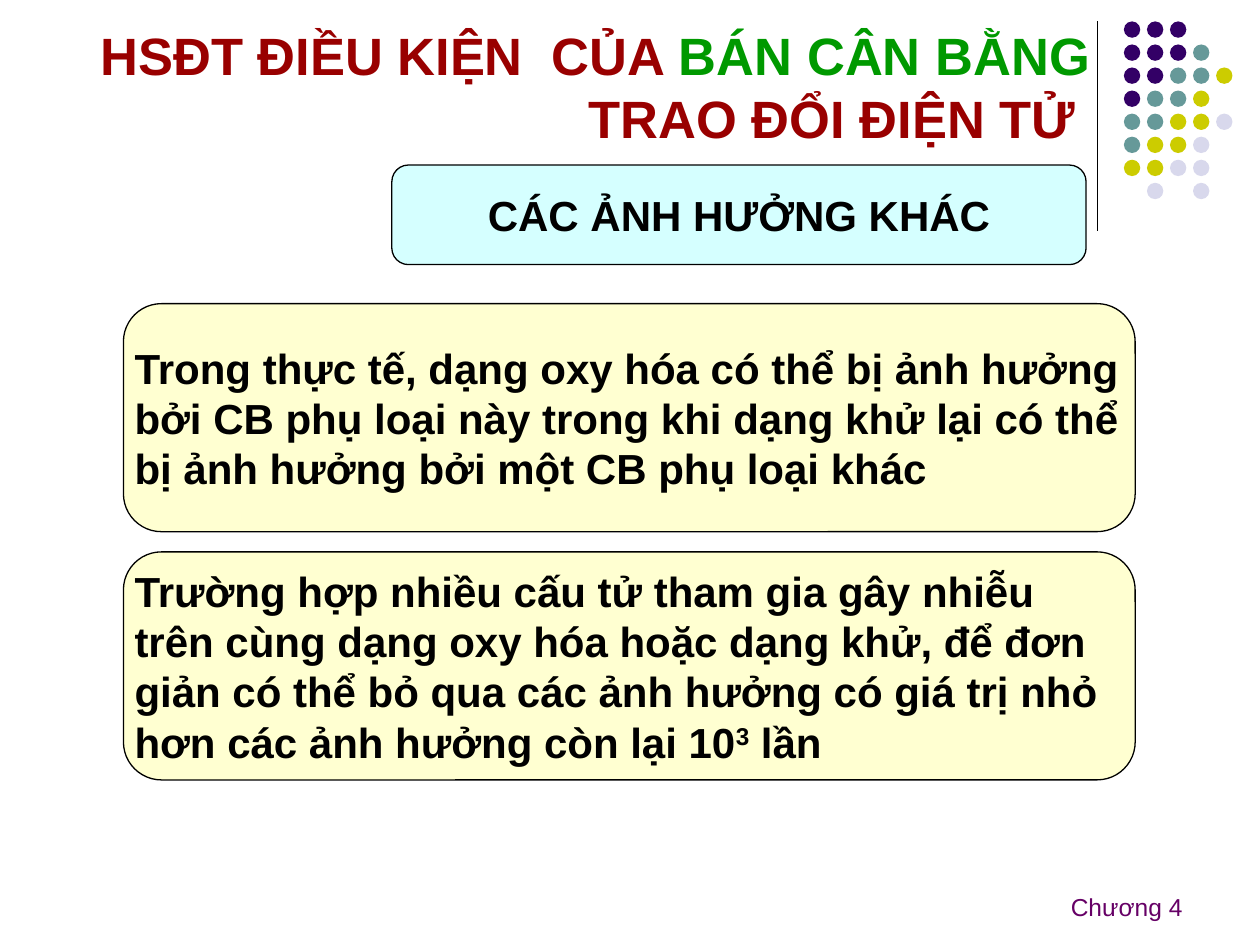
from dataclasses import dataclass

from lxml.etree import SubElement
from pptx import Presentation
from pptx.dml.color import RGBColor
from pptx.enum.shapes import MSO_CONNECTOR, MSO_SHAPE
from pptx.enum.text import MSO_ANCHOR, PP_ALIGN
from pptx.oxml.ns import qn
from pptx.util import Inches, Pt

# Vietnamese tones as combining marks: grave, acute, hook, tilde, dot below
VOWELS = "aăâeêioôơuưy"
TONED = {
    0x300: "àằầèềìòồờùừỳ",
    0x301: "áắấéếíóốớúứý",
    0x309: "ảẳẩẻểỉỏổởủửỷ",
    0x303: "ãẵẫẽễĩõỗỡũữỹ",
    0x323: "ạặậẹệịọộợụựỵ",
}
TONE_TABLE = {
    ord(toned): vowel + chr(mark)
    for mark, row in TONED.items()
    for toned, vowel in zip(row + row.upper(), VOWELS + VOWELS.upper())
}


def split_tones(words):
    return words.translate(TONE_TABLE)


@dataclass(frozen=True)
class Theme:
    font: str = "Arial"
    title_size: int = 30
    body_size: int = 24
    footer_size: int = 14
    black: str = "000000"
    red: str = "990000"
    green: str = "009900"
    footer: str = "660066"
    heading_fill: str = "D5FFFF"
    body_fill: str = "FFFFD1"
    purple: str = "330066"
    teal: str = "669999"
    yellow: str = "CCCC00"
    pale: str = "D8D8EC"


class SlideBuilder:
    def __init__(self, page, theme):
        self.page = page
        self.theme = theme

    def style(self, para, size, color, bold=True):
        font = para.font
        font.name = self.theme.font
        font.size = Pt(size)
        font.bold = bold
        font.color.rgb = RGBColor.from_string(color)

    def rule(self, x, top, bottom):
        line = self.page.shapes.add_connector(
            MSO_CONNECTOR.STRAIGHT, Inches(x), Inches(top), Inches(x), Inches(bottom))
        line.line.color.rgb = RGBColor.from_string(self.theme.black)
        line.line.width = Pt(0.75)
        SubElement(line._element.spPr, qn("a:effectLst"))

    def shape(self, kind, left, top, width, height, fill):
        shape = self.page.shapes.add_shape(
            kind, Inches(left), Inches(top), Inches(width), Inches(height))
        shape.shadow.inherit = False
        shape.fill.solid()
        shape.fill.fore_color.rgb = RGBColor.from_string(fill)
        return shape

    def dot_grid(self, left, top, pitch, size, rows):
        colors = {"P": self.theme.purple, "T": self.theme.teal,
                  "Y": self.theme.yellow, "L": self.theme.pale}
        for r, row in enumerate(rows):
            for c, key in enumerate(row):
                if key in colors:
                    dot = self.shape(MSO_SHAPE.OVAL, left + c * pitch,
                                     top + r * pitch, size, size, colors[key])
                    dot.line.fill.background()

    def text(self, left, top, width, height, spans, size, bold=True,
             align=PP_ALIGN.LEFT, anchor=MSO_ANCHOR.TOP, wrap=True):
        box = self.page.shapes.add_textbox(
            Inches(left), Inches(top), Inches(width), Inches(height))
        frame = box.text_frame
        frame.word_wrap = wrap
        frame.vertical_anchor = anchor
        para = frame.paragraphs[0]
        para.alignment = align
        self.style(para, size, spans[0][1], bold)
        for words, color in spans:
            span = para.add_run()
            span.text = words
            span.font.color.rgb = RGBColor.from_string(color)

    def panel(self, left, top, width, height, fill, lines,
              align=PP_ALIGN.LEFT, inset=0, space_before=0):
        """Each line is a list of pieces; every second piece is superscript."""
        box = self.shape(MSO_SHAPE.ROUNDED_RECTANGLE, left, top, width, height, fill)
        box.line.color.rgb = RGBColor.from_string(self.theme.black)
        box.line.width = Pt(0.75)
        frame = box.text_frame
        frame.word_wrap = True
        frame.vertical_anchor = MSO_ANCHOR.MIDDLE
        frame.margin_left = frame.margin_right = Inches(inset)
        for i, pieces in enumerate(lines):
            para = frame.add_paragraph() if i else frame.paragraphs[0]
            para.alignment = align
            para.space_before = Pt(space_before)
            self.style(para, self.theme.body_size, self.theme.black)
            for j, piece in enumerate(pieces):
                span = para.add_run()
                span.text = split_tones(piece)
                if j % 2:
                    span._r.get_or_add_rPr().set("baseline", "30000")


def main():
    deck = Presentation()
    deck.slide_width, deck.slide_height = Inches(10), Inches(7.5)
    theme = Theme()
    slide = SlideBuilder(deck.slides.add_slide(deck.slide_layouts[6]), theme)

    # Corner decoration
    slide.rule(8.71, 0.17, 1.83)
    slide.dot_grid(8.92, 0.17, 0.183, 0.13, [
        "PPP", "PPPT", "PPTTY", "PTTY", "TTYYL", "TYYL", "YYLL", " L L"])

    # Footer
    slide.text(8.4, 7.03, 1.09, 0.34, [("Chương 4", theme.footer)],
               theme.footer_size, bold=False, wrap=False)

    # Title
    slide.text(0.51, 0.13, 8.24, 1.1,
               [(split_tones("HSĐT ĐIỀU KIỆN  CỦA "), theme.red),
                (split_tones("BÁN CÂN BẰNG "), theme.green),
                ("TRAO ĐỔI ĐIỆN TỬ ", theme.red)],
               theme.title_size, align=PP_ALIGN.RIGHT, anchor=MSO_ANCHOR.BOTTOM)

    # Heading
    slide.panel(3.11, 1.31, 5.51, 0.79, theme.heading_fill,
                [["CÁC ẢNH HƯỞNG KHÁC"]], PP_ALIGN.CENTER, 0.1, 15)

    # Body panels
    bodies = [
        [["Trong thực tế, dạng oxy hóa có thể bị ảnh hưởng"],
         ["bởi CB phụ loại này trong khi dạng khử lại có thể"],
         ["bị ảnh hưởng bởi một CB phụ loại khác"]],
        [["Trường hợp nhiều cấu tử tham gia gây nhiễu"],
         ["trên cùng dạng oxy hóa hoặc dạng khử, để đơn"],
         ["giản có thể bỏ qua các ảnh hưởng có giá trị nhỏ"],
         ["hơn các ảnh hưởng còn lại 10", "3", " lần"]],
    ]
    for i, lines in enumerate(bodies):
        slide.panel(0.98, 2.41 + i * 1.97, 8.03, 1.81, theme.body_fill, lines)

    deck.save("out.pptx")


if __name__ == "__main__":
    main()
